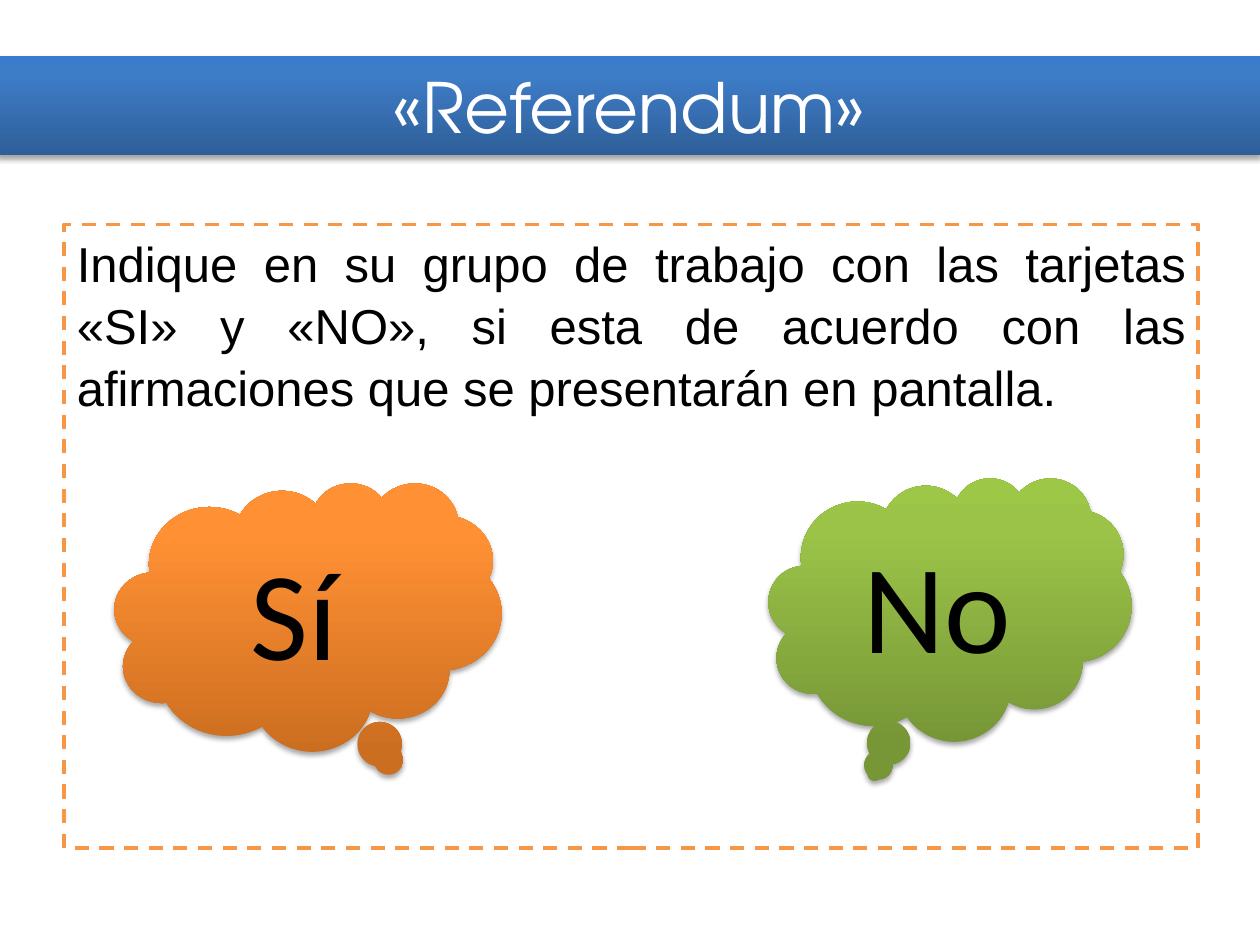
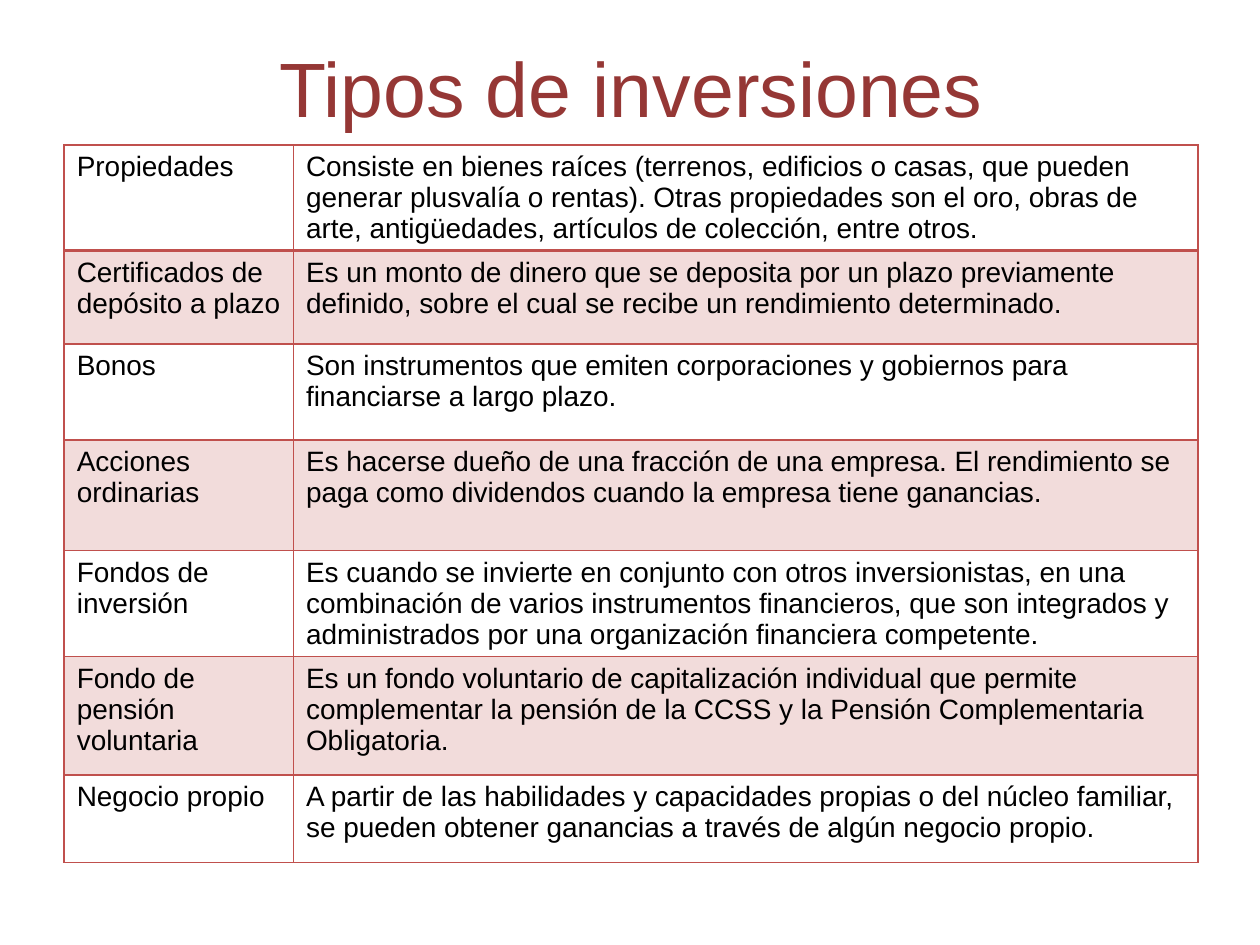
"""Build two slides on a group referendum and on types of investment."""
from pptx import Presentation
from pptx.dml.color import RGBColor
from pptx.enum.dml import MSO_LINE
from pptx.enum.shapes import MSO_SHAPE
from pptx.enum.text import MSO_ANCHOR, MSO_AUTO_SIZE, PP_ALIGN
from pptx.oxml import parse_xml
from pptx.oxml.ns import nsdecls, qn
from pptx.util import Pt

COLORS = {
    "white": "FFFFFF",
    "text": "000000",
    "frame": "F79646",
    "heading": "953735",
    "rule": "C0504D",
    "band": "F2DCDB",
}
GRADIENTS = {
    "blue": ("2F5F99", "3D7CC7", "3A7CCB"),
    "green": ("779737", "9BC348", "9DC746"),
    "orange": ("CC6E20", "FF9034", "FF9136"),
}
LEFT, WIDTH = Pt(36.72), Pt(648)


def style_text(text_frame, font_name, size, color, alignment):
    text_frame.word_wrap = True
    text_frame.auto_size = MSO_AUTO_SIZE.NONE
    paragraph = text_frame.paragraphs[0]
    paragraph.alignment = alignment
    font = paragraph.runs[0].font
    font.name, font.size, font.bold = font_name, Pt(size), False
    font.color.rgb = RGBColor.from_string(COLORS[color])


def apply_glossy_fill(shape, gradient):
    shape.fill.gradient()
    properties = shape._element.spPr
    stops = "".join(
        f'<a:gs pos="{position * 1000}"><a:srgbClr val="{color}"/></a:gs>'
        for position, color in zip((0, 80, 100), GRADIENTS[gradient])
    )
    properties.replace(properties.find(qn("a:gradFill")), parse_xml(
        f'<a:gradFill {nsdecls("a")} rotWithShape="1"><a:gsLst>{stops}</a:gsLst>'
        '<a:lin ang="16200000" scaled="0"/></a:gradFill>'))
    shape.line.fill.background()
    shape.shadow.inherit = False
    properties.find(qn("a:effectLst")).append(parse_xml(
        f'<a:outerShdw {nsdecls("a")} blurRad="{Pt(3.1)}" dist="{Pt(1.8)}" dir="5400000" '
        'rotWithShape="0"><a:srgbClr val="000000"><a:alpha val="35000"/></a:srgbClr></a:outerShdw>'))


presentation = Presentation()
presentation.slide_width, presentation.slide_height = Pt(720), Pt(540)

slide = presentation.slides.add_slide(presentation.slide_layouts[1])
title = slide.shapes.title
title.left, title.top, title.width, title.height = Pt(-1.44), Pt(31.8), Pt(721.44), Pt(56.9)
title.text_frame.text = "«Referendum»"
title.text_frame.vertical_anchor = MSO_ANCHOR.MIDDLE
style_text(title.text_frame, "TeX Gyre Adventor", 39.6, "white", PP_ALIGN.CENTER)
apply_glossy_fill(title, "blue")

body = slide.placeholders[1]
body.left, body.top, body.width, body.height = LEFT, Pt(128.16), WIDTH, Pt(356.4)
body.fill.solid()
body.fill.fore_color.rgb = RGBColor.from_string(COLORS["white"])
body.line.color.rgb = RGBColor.from_string(COLORS["frame"])
body.line.width = Pt(2)
body.line.dash_style = MSO_LINE.DASH
body.text_frame.text = (
    "Indique en su grupo de trabajo con las tarjetas «SI» y «NO», si esta de acuerdo "
    "con las afirmaciones que se presentarán en pantalla."
)
paragraph = body.text_frame.paragraphs[0]
paragraph_properties = paragraph._p.get_or_add_pPr()
paragraph_properties.set("marL", "0")
paragraph_properties.set("indent", "0")
paragraph_properties.append(parse_xml(f'<a:buNone {nsdecls("a")}/>'))
paragraph.space_before = Pt(0)
paragraph.line_spacing = 1.05
style_text(body.text_frame, "Arial", 28, "text", PP_ALIGN.JUSTIFY)

answers = [
    ("No", "green", (439.2, 272.88, 207.36, 150.48), (-0.208, 0.625)),
    ("Sí", "orange", (65.52, 275.76, 221.04, 153.36), (0.212, 0.543)),
]
for answer, gradient, bounds, tail in answers:
    cloud = slide.shapes.add_shape(MSO_SHAPE.CLOUD_CALLOUT, *map(Pt, bounds))
    cloud.adjustments[0], cloud.adjustments[1] = tail
    cloud.text_frame.text = answer
    cloud.text_frame.vertical_anchor = MSO_ANCHOR.MIDDLE
    style_text(cloud.text_frame, "Calibri", 72, "text", PP_ALIGN.CENTER)
    apply_glossy_fill(cloud, gradient)

slide = presentation.slides.add_slide(presentation.slide_layouts[5])
title = slide.shapes.title
title.left, title.top, title.width, title.height = LEFT, Pt(15.12), WIDTH, Pt(68.4)
title.text_frame.text = "Tipos de inversiones"
title.text_frame.vertical_anchor = MSO_ANCHOR.MIDDLE
style_text(title.text_frame, "Arial", 44, "heading", PP_ALIGN.CENTER)

investments = [
    (51, "Propiedades",
     "Consiste en bienes raíces (terrenos, edificios o casas, que pueden generar plusvalía "
     "o rentas). Otras propiedades son el oro, obras de arte, antigüedades, artículos de "
     "colección, entre otros."),
    (53.3, "Certificados de depósito a plazo",
     "Es un monto de dinero que se deposita por un plazo previamente definido, sobre el cual "
     "se recibe un rendimiento determinado."),
    (54.7, "Bonos",
     "Son instrumentos que emiten corporaciones y gobiernos para financiarse a largo plazo."),
    (63.4, "Acciones ordinarias",
     "Es hacerse dueño de una fracción de una empresa. El rendimiento se paga como dividendos "
     "cuando la empresa tiene ganancias."),
    (50, "Fondos de inversión",
     "Es cuando se invierte en conjunto con otros inversionistas, en una combinación de varios "
     "instrumentos financieros, que son integrados y administrados por una organización "
     "financiera competente."),
    (67.7, "Fondo de pensión voluntaria",
     "Es un fondo voluntario de capitalización individual que permite complementar la pensión "
     "de la CCSS y la Pensión Complementaria Obligatoria."),
    (50, "Negocio propio",
     "A partir de las habilidades y capacidades propias o del núcleo familiar, se pueden "
     "obtener ganancias a través de algún negocio propio."),
]
table_height = sum(height for height, *texts in investments)
table = slide.shapes.add_table(len(investments), 2, LEFT, Pt(82.8), WIDTH, Pt(table_height)).table
table.first_row = table.horz_banding = False
table.columns[0].width, table.columns[1].width = Pt(131), Pt(517)
for row_index, (height, *texts) in enumerate(investments):
    table.rows[row_index].height = Pt(height)
    for column_index, text in enumerate(texts):
        cell = table.cell(row_index, column_index)
        cell.text_frame.text = text
        style_text(cell.text_frame, "Arial", 16, "text", PP_ALIGN.LEFT)
        for side in ("lnL", "lnR", "lnT", "lnB"):
            heavy = (row_index, side) in ((0, "lnB"), (1, "lnT"))
            cell._tc.get_or_add_tcPr().append(parse_xml(
                f'<a:{side} {nsdecls("a")} w="{Pt(2 if heavy else 1)}"><a:solidFill>'
                f'<a:srgbClr val="{COLORS["rule"]}"/></a:solidFill></a:{side}>'))
        if row_index % 2:
            cell.fill.solid()
            cell.fill.fore_color.rgb = RGBColor.from_string(COLORS["band"])
        else:
            cell.fill.background()

presentation.save("out.pptx")
